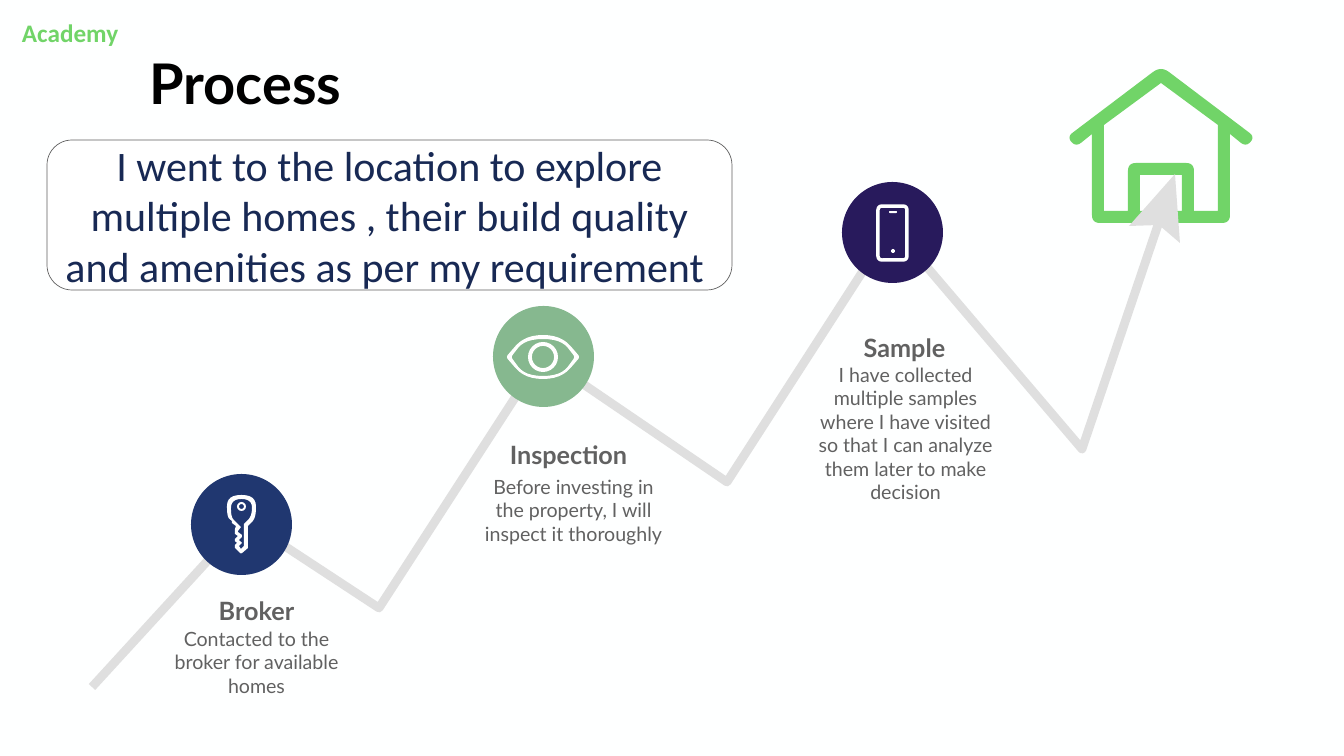
from math import dist

from lxml import etree
from pptx import Presentation
from pptx.dml.color import RGBColor
from pptx.enum.shapes import MSO_SHAPE
from pptx.enum.text import MSO_ANCHOR, MSO_AUTO_SIZE, PP_ALIGN
from pptx.oxml.ns import qn
from pptx.util import Pt

PX = 914400 / 50.4
GREEN, GREY, WHITE, TEXT = "71D468", "DFDFDF", "FFFFFF", "616161"
HOUSE_AXIS = 1161


def emu(pixels):
    """Turn pixels into EMU."""
    return round(pixels * PX)


def rgb(value):
    """Turn a hex string into a colour."""
    return RGBColor.from_string(value)


def mirrored(half):
    """Complete a house outline from its left half."""
    other = [(2 * HOUSE_AXIS - x, y, *r) for x, y, *r in reversed(half)]
    return half + [p for p in other if p[0] != HOUSE_AXIS]


def rounded(corners):
    """Return the outline through corners (x, y[, radius]), rounding those with a radius."""
    points = []
    for i, (x, y, *radius) in enumerate(corners):
        if not radius:
            points.append((x, y))
            continue
        ends = []
        for near in (corners[i - 1], corners[(i + 1) % len(corners)]):
            t = min(radius[0] / dist((x, y), near[:2]), 0.5)
            ends.append((x + (near[0] - x) * t, y + (near[1] - y) * t))
        (ax, ay), (bx, by) = ends
        for step in range(7):
            t = step / 6
            a, c, b = (1 - t) ** 2, 2 * t * (1 - t), t * t
            points.append((a * ax + c * x + b * bx, a * ay + c * y + b * by))
    return points


class ProcessSlide:
    """Holds the style and the current slide."""

    def __init__(self, prs):
        """Add a title-only slide with a plain background."""
        self.slide = prs.slides.add_slide(prs.slide_layouts[5])
        self.shapes = self.slide.shapes
        self.slide.background.fill.solid()
        self.slide.background.fill.fore_color.rgb = rgb("FEFFFF")

    def paint(self, shape, fill=None, line=None, width=1):
        """Set fill and line, and drop the shadow."""
        shape.shadow.inherit = False
        if fill:
            shape.fill.solid()
            shape.fill.fore_color.rgb = rgb(fill)
        else:
            shape.fill.background()
        if line:
            shape.line.color.rgb = rgb(line)
            shape.line.width = Pt(width)
            etree.SubElement(shape.element.spPr.find(qn("a:ln")), qn("a:round"))
        else:
            shape.line.fill.background()
        return shape

    def preset(self, kind, box, fill=None, line=None, width=1, adjust=None):
        """Draw a preset shape."""
        shape = self.shapes.add_shape(kind, *map(emu, box))
        if adjust is not None:
            shape.adjustments[0] = adjust
        return self.paint(shape, fill, line, width)

    def outline(self, contours, fill=None, line=None, width=1):
        """Draw one freeform; inner contours become holes when it is filled."""
        builder = None
        for contour in contours:
            points = [(emu(x), emu(y)) for x, y in rounded(contour)]
            if builder is None:
                builder = self.shapes.build_freeform(*points[0])
            else:
                builder.move_to(*points[0])
            builder.add_line_segments(points[1:], close=bool(fill))
        return self.paint(builder.convert_to_shape(), fill, line, width)

    def set_text(self, shape, text, size, color, font="Lato", bold=False,
                 align=PP_ALIGN.CENTER, anchor=MSO_ANCHOR.TOP):
        """Put formatted text into a shape."""
        frame = shape.text_frame
        frame.word_wrap = True
        frame.auto_size = MSO_AUTO_SIZE.NONE
        frame.vertical_anchor = anchor
        paragraph = frame.paragraphs[0]
        paragraph.alignment = align
        run = paragraph.add_run()
        run.text = text
        run.font.size, run.font.name, run.font.bold = Pt(size), font, bold
        run.font.color.rgb = rgb(color)

    def text(self, box, *args, **style):
        """Add a text box."""
        self.set_text(self.shapes.add_textbox(*map(emu, box)), *args, **style)

    def title(self, box, *args, **style):
        """Move and format the title placeholder."""
        holder = self.shapes.title
        holder.left, holder.top, holder.width, holder.height = map(emu, box)
        self.set_text(holder, *args, **style)


prs = Presentation()
prs.slide_width, prs.slide_height = emu(1344), emu(756)
page = ProcessSlide(prs)
page.title((98, 46, 295, 73), "Process", 80, "000000", bold=True)

house = [
    mirrored([(1161, 66, 10), (1067, 137, 7), (1076, 147, 7), (1092, 134), (1092, 223, 8)]),
    mirrored([(1161, 83), (1104, 125), (1104, 211), (1128, 211), (1128, 163, 8)]),
    mirrored([(1140, 175), (1140, 211)]),
]
page.outline(house, fill=GREEN)

zigzag = [(92, 687), (245, 520), (379, 608), (542, 356), (727, 482),
          (892, 226), (1082, 449), (1161, 216)]
page.outline([zigzag], line=GREY, width=12.5)
page.outline([[(1180, 243), (1159, 225), (1129, 226), (1175, 174)]], fill=GREY)

# Circle position and colour, label position, body position, wording
steps = [
    ((191, 474), "203770", (177, 593), (160, 624), "Broker",
     "Contacted to the broker for available homes"),
    ((493, 306), "86B88F", (489, 437), (477, 472), "Inspection",
     "Before investing in the property, I will inspect it thoroughly"),
    ((842, 182), "281A5C", (825, 330), (809, 360), "Sample",
     "I have collected multiple samples where I have visited so that I can "
     "analyze them later to make decision"),
]
for circle, color, label_at, body_at, label, body in steps:
    page.preset(MSO_SHAPE.OVAL, (*circle, 101, 101), color)
    page.text((*label_at, 159, 26), label, 36, TEXT, bold=True)
    page.text((*body_at, 193, 53), body, 28, TEXT)

# Key
key_edge = [
    (227, 495, 14), (256, 495, 14), (256, 518, 10), (248, 526), (248, 548), (241, 554, 2),
    (235, 548), (235, 545), (237, 543), (235, 541), (235, 539), (238, 536), (235, 534),
    (235, 529), (236, 526), (232, 523), (232, 521), (227, 517, 10)]
key_inside = [
    (231, 499, 11), (252, 499, 11), (252, 516, 8), (244, 524), (244, 546), (241, 549),
    (239, 546), (242, 543), (239, 540), (242, 537), (242, 535), (238, 532), (238, 531),
    (241, 527), (236, 522), (231, 517, 8)]
page.outline([key_edge, key_inside], fill=WHITE)
page.preset(MSO_SHAPE.DONUT, (237, 502, 9, 9), WHITE, adjust=0.22)

# Eye
eye = [[(left, 357, 3), (525, top, 18), (561, top, 18),
        (right, 357, 3), (561, bottom, 18), (525, bottom, 18)]
       for left, right, top, bottom in ((506, 580, 335, 379), (511, 575, 339, 376))]
page.outline(eye, fill=WHITE)
page.preset(MSO_SHAPE.DONUT, (528, 342, 30, 30), WHITE, adjust=0.13)

# Phone
page.preset(MSO_SHAPE.ROUNDED_RECTANGLE, (878, 206, 29, 54), line=WHITE, width=5, adjust=0.13)
page.preset(MSO_SHAPE.OVAL, (891, 249, 4, 4), WHITE)
page.preset(MSO_SHAPE.ROUNDED_RECTANGLE, (889, 211, 8, 2), WHITE, adjust=0.5)

summary = page.preset(MSO_SHAPE.ROUNDED_RECTANGLE, (47, 140, 685, 150), WHITE, "606060")
page.set_text(summary, "I went to the location to explore multiple homes , their build quality "
              "and amenities as per my requirement ", 60, "182954", font="Calibri",
              anchor=MSO_ANCHOR.MIDDLE)
page.text((17, 15, 672, 36), "Academy", 36, GREEN, font="Calibri", bold=True,
          align=PP_ALIGN.LEFT)

prs.save("out.pptx")
